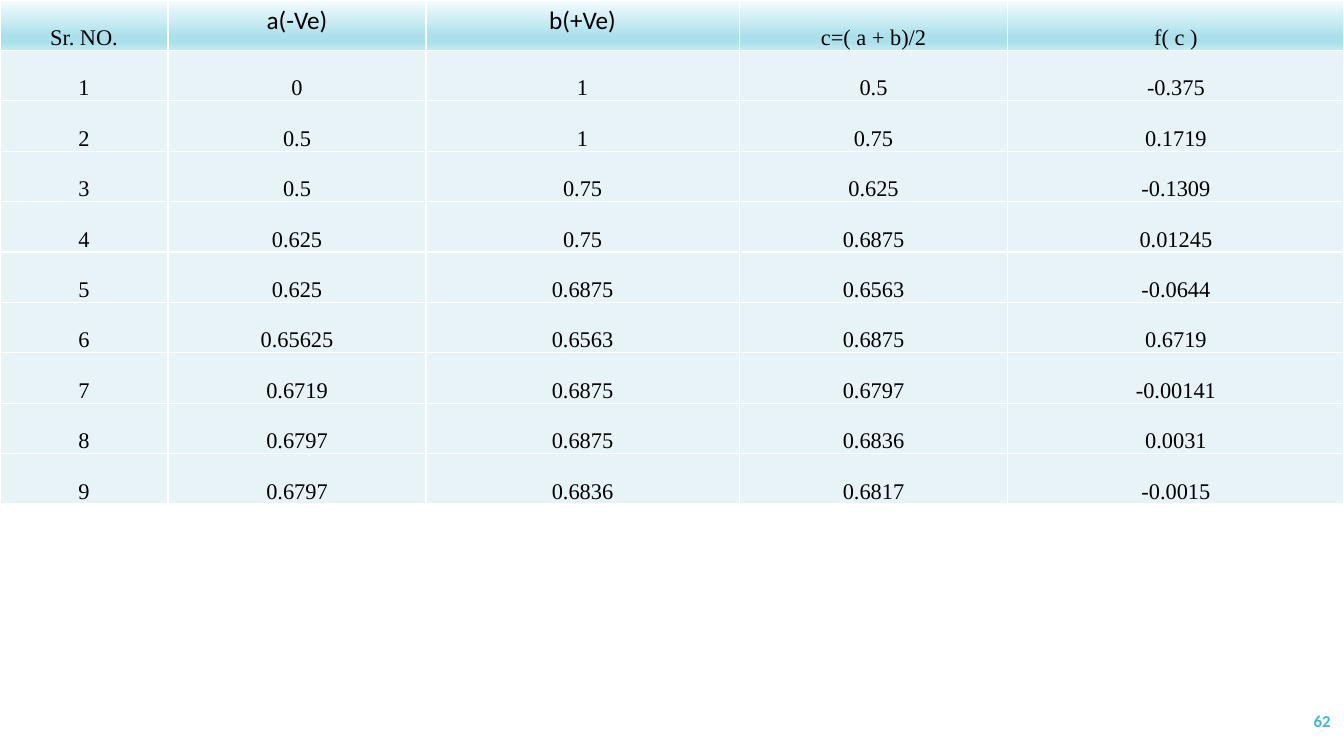
from dataclasses import dataclass

from lxml.etree import SubElement
from pptx import Presentation
from pptx.dml.color import RGBColor
from pptx.enum.text import MSO_ANCHOR as Anchor, PP_ALIGN as Align
from pptx.oxml.ns import qn
from pptx.slide import Slide
from pptx.table import _Cell as Cell
from pptx.text.text import TextFrame
from pptx.util import Emu, Inches, Pt

SLIDE_W, SLIDE_H = Inches(13.33), Inches(7.5)
ROW_H = Emu(SLIDE_H // 15)


@dataclass(frozen=True)
class Theme:
    text: str = "000000"
    accent: str = "40BAD2"
    row_fill: str = "E8F3F7"
    border: str = "FFFFFF"
    header_stops: tuple[tuple[int, str], ...] = (
        (0, "F5FCFD"), (74, "A9E0EB"), (83, "A9E0EB"), (100, "C6EAF1"))
    serif: str = "Times New Roman"
    sans: str = "Calibri"
    body_size: int = 16
    endpoint_size: int = 18
    number_size: int = 12
    border_width: int = 1


THEME = Theme()


@dataclass(frozen=True)
class Column:
    heading: str
    share: float  # of the slide width
    is_endpoint: bool = False


@dataclass(frozen=True)
class Iteration:
    a: str
    b: str
    midpoint: str
    value: str


COLUMNS = (
    Column("Sr. NO.", 0.125),
    Column("a(-Ve)", 0.192, is_endpoint=True),
    Column("b(+Ve)", 0.233, is_endpoint=True),
    Column("c=( a + b)/2", 0.2),
    Column("f( c )", 0.25),
)
ITERATIONS = (
    Iteration("0", "1", "0.5", "-0.375"),
    Iteration("0.5", "1", "0.75", "0.1719"),
    Iteration("0.5", "0.75", "0.625", "-0.1309"),
    Iteration("0.625", "0.75", "0.6875", "0.01245"),
    Iteration("0.625", "0.6875", "0.6563", "-0.0644"),
    Iteration("0.65625", "0.6563", "0.6875", "0.6719"),
    Iteration("0.6719", "0.6875", "0.6797", "-0.00141"),
    Iteration("0.6797", "0.6875", "0.6836", "0.0031"),
    Iteration("0.6797", "0.6836", "0.6817", "-0.0015"),
)


def write(frame: TextFrame, text: str, *, font: str = THEME.serif,
          size: int = THEME.body_size, color: str = THEME.text,
          bold: bool = False, align: Align = Align.CENTER) -> None:
    paragraph = frame.paragraphs[0]
    paragraph.alignment = align
    run = paragraph.add_run()
    run.text = text
    run.font.name, run.font.size, run.font.bold = font, Pt(size), bold
    run.font.color.rgb = RGBColor.from_string(color)


def add_borders(cell: Cell) -> None:
    """Must run before the fill is set: borders come first in the cell's XML."""
    properties = cell._tc.get_or_add_tcPr()
    for side in ("a:lnL", "a:lnR", "a:lnT", "a:lnB"):
        line = SubElement(properties, qn(side), w=str(Pt(THEME.border_width)))
        SubElement(SubElement(line, qn("a:solidFill")), qn("a:srgbClr"), val=THEME.border)


def fill_header(cell: Cell) -> None:
    gradient = SubElement(cell._tc.get_or_add_tcPr(), qn("a:gradFill"), rotWithShape="1")
    stops = SubElement(gradient, qn("a:gsLst"))
    for percent, color in THEME.header_stops:
        stop = SubElement(stops, qn("a:gs"), pos=str(percent * 1000))
        SubElement(stop, qn("a:srgbClr"), val=color)
    SubElement(gradient, qn("a:lin"), ang="5400000", scaled="0")


def fill_row(cell: Cell) -> None:
    cell.fill.solid()
    cell.fill.fore_color.rgb = RGBColor.from_string(THEME.row_fill)


def sit_on_bottom(cell: Cell) -> None:
    cell.vertical_anchor = Anchor.BOTTOM
    cell.margin_left = cell.margin_top = cell.margin_right = Inches(0.01)
    cell.margin_bottom = 0


def add_bisection_table(slide: Slide) -> None:
    table = slide.shapes.add_table(len(ITERATIONS) + 1, len(COLUMNS), 0, 0,
                                   SLIDE_W, ROW_H * (len(ITERATIONS) + 1)).table
    table.first_row = table.horz_banding = False
    for row in table.rows:
        row.height = ROW_H
    for index, column in enumerate(COLUMNS):
        table.columns[index].width = Emu(round(SLIDE_W * column.share))
        heading = table.cell(0, index)
        add_borders(heading)
        fill_header(heading)
        if column.is_endpoint:
            write(heading.text_frame, column.heading, font=THEME.sans,
                  size=THEME.endpoint_size)
        else:
            sit_on_bottom(heading)
            write(heading.text_frame, column.heading)
    for number, step in enumerate(ITERATIONS, start=1):
        entries = (str(number), step.a, step.b, step.midpoint, step.value)
        for index, entry in enumerate(entries):
            cell = table.cell(number, index)
            add_borders(cell)
            fill_row(cell)
            sit_on_bottom(cell)
            write(cell.text_frame, entry)


def add_slide_number(slide: Slide, number: str) -> None:
    frame = slide.shapes.add_textbox(
        round(SLIDE_W * 0.8725), round(SLIDE_H * 0.927),
        round(SLIDE_W * 0.125), round(SLIDE_H * 0.053)).text_frame
    frame.word_wrap = True
    frame.vertical_anchor = Anchor.MIDDLE
    write(frame, number, font=THEME.sans, size=THEME.number_size,
          color=THEME.accent, bold=True, align=Align.RIGHT)


def main() -> None:
    deck = Presentation()
    deck.slide_width, deck.slide_height = SLIDE_W, SLIDE_H
    slide = deck.slides.add_slide(deck.slide_layouts[6])
    add_bisection_table(slide)
    add_slide_number(slide, "62")
    deck.save("out.pptx")


if __name__ == "__main__":
    main()
